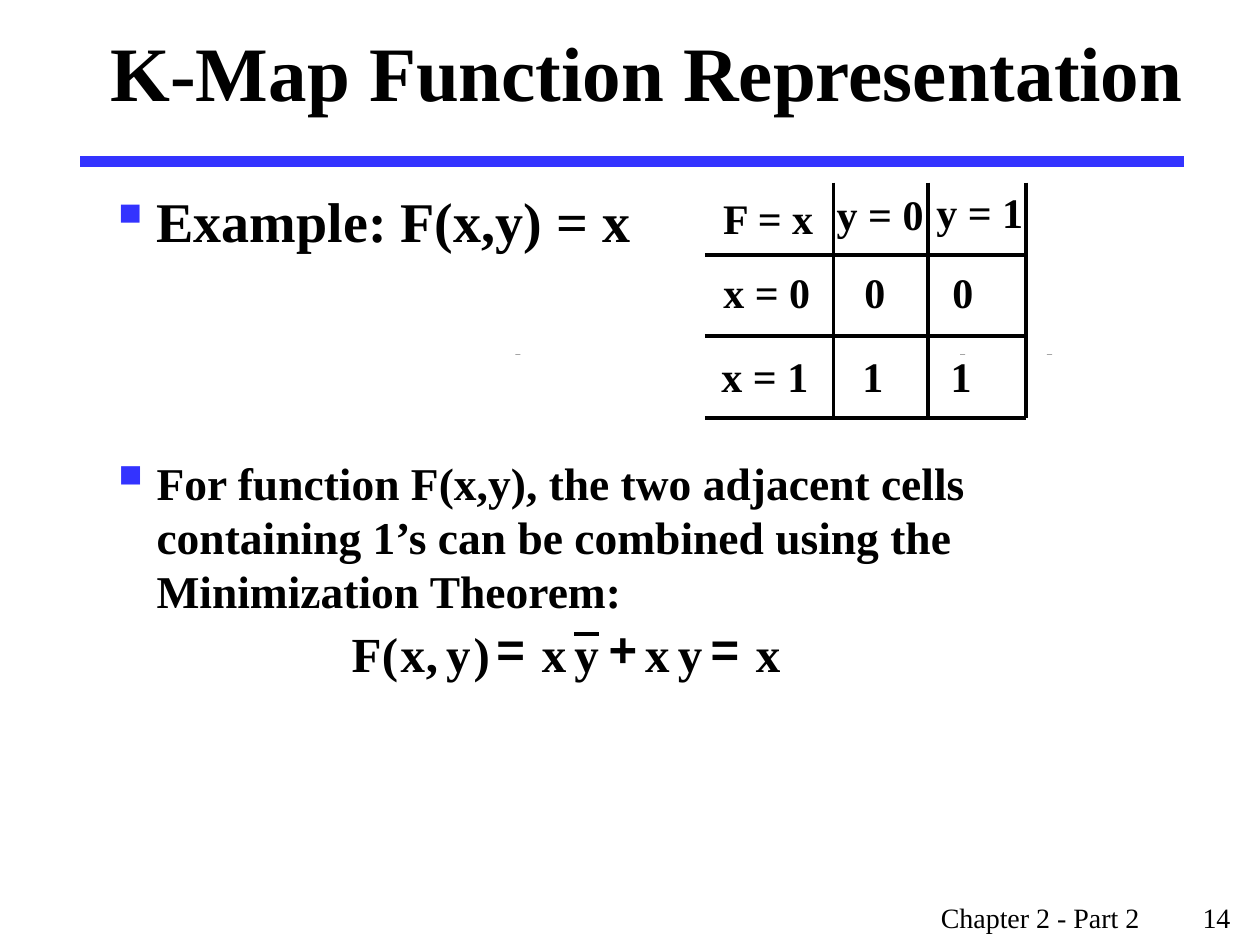
from lxml.etree import SubElement
from pptx import Presentation
from pptx.dml.color import RGBColor
from pptx.enum.shapes import MSO_CONNECTOR as Connector, MSO_SHAPE as Shape
from pptx.enum.text import MSO_ANCHOR as Anchor, MSO_AUTO_SIZE as AutoSize
from pptx.oxml.ns import qn
from pptx.util import Pt

COLORS = {"ink": "000000", "accent": "3333FF"}
SERIF, SANS = "Times New Roman", "Arial"


def color(name):
    """Return the named colour."""
    return RGBColor.from_string(COLORS[name])


def add_run(para, text, size, bold=True, font=SERIF):
    """Append one formatted run to a paragraph."""
    span = para.add_run()
    span.text = text
    span.font.name, span.font.size, span.font.bold = font, Pt(size), bold
    span.font.color.rgb = color("ink")


def add_box(shapes, left, top, width, height):
    """Add a wrapping text box and return its frame."""
    frame = shapes.add_textbox(Pt(left), Pt(top), Pt(width), Pt(height)).text_frame
    frame.word_wrap = True
    return frame


def add_label(shapes, text, left, top, width, size, font=SERIF):
    """Add a tight single-line label."""
    frame = add_box(shapes, left, top, width, size * 1.2)
    frame.margin_left = frame.margin_right = frame.margin_top = frame.margin_bottom = 0
    frame.word_wrap = False
    frame.auto_size = AutoSize.SHAPE_TO_FIT_TEXT
    add_run(frame.paragraphs[0], text, size, font=font)


def add_line(shapes, x1, y1, x2, y2, name="ink", width=2.25):
    """Add a straight line without a shadow."""
    line = shapes.add_connector(Connector.STRAIGHT, Pt(x1), Pt(y1), Pt(x2), Pt(y2))
    line.line.color.rgb, line.line.width = color(name), Pt(width)
    SubElement(line._element.spPr, qn("a:effectLst"))


def add_bullet(para, scale):
    """Give a paragraph a hanging square bullet."""
    props = para._p.get_or_add_pPr()
    props.set("marL", str(Pt(27)))
    props.set("indent", str(Pt(-27)))
    tint = SubElement(props, qn("a:buClr"))
    SubElement(tint, qn("a:srgbClr"), val=COLORS["accent"])
    SubElement(props, qn("a:buSzPct"), val=str(scale * 1000))
    SubElement(props, qn("a:buChar"), char="▪")


def add_header(page, left, top, width, height):
    """Place the title and the rule beneath it."""
    frame = add_box(page.shapes, left, top, width, height)
    frame.vertical_anchor = Anchor.MIDDLE
    add_run(frame.paragraphs[0], "K-Map Function Representation", 44)
    add_line(page.shapes, left - 10, top + 92.2, left + 620.8, top + 92.2, "accent", 6)


def add_body(page, left, top, width, height):
    """Place the two bulleted statements."""
    frame = add_box(page.shapes, left, top, width, height)
    first = frame.paragraphs[0]
    add_bullet(first, 100)
    add_run(first, "Example: F(x,y) = x", 32)
    second = frame.add_paragraph()
    add_bullet(second, 125)
    second.space_before, second.line_spacing = Pt(115), Pt(31)
    add_run(second, "For function F(x,y), the two adjacent cells containing 1’s "
            "can be combined using the Minimization Theorem:", 26)


def add_dashes(page, left, top):
    """Place the three faint dashes."""
    for offset in (0, 254.2, 303.8):
        dash = page.shapes.add_shape(Shape.RECTANGLE, Pt(left + offset), Pt(top), Pt(2.9), Pt(0.25))
        dash.shadow.inherit = False
        dash.fill.solid()
        dash.fill.fore_color.rgb = color("ink")
        dash.line.fill.background()


def add_map(page, left, top, width, height):
    """Place the Karnaugh map with its grid and labels."""
    shapes = page.shapes.add_group_shape().shapes
    for x in (73.5, 127.7, width):
        add_line(shapes, left + x, top, left + x, top + height)
    for y in (41.4, 87.5, height):
        add_line(shapes, left, top + y, left + width, top + y)
    headings = [("F = x", 10.5, 5.8, 52.6), ("y = 0", 75.3, 3.6, 49.7), ("y = 1", 132.2, 2.2, 49.7)]
    for text, x, y, size in headings:
        add_label(shapes, text, left + x, top + y, size, 24)
    for value, x, y in (("0", 10.5, 48.2), ("1", 9.4, 95.8)):
        add_label(shapes, f"x = {value}", left + x, top + y, 49.7, 24)
        for offset in (80.6, 131):
            add_label(shapes, value, left + x + offset, top + y, 12, 24)


def add_formula(page, left, top):
    """Place the minimised equation symbol by symbol."""
    shapes = page.shapes.add_group_shape().shapes
    symbols = "F(x,y)=xy+xy=x"
    offsets = (0, 17.3, 28.1, 42.5, 54, 69.8, 82.8, 108.7, 127.4, 146.9, 167.8, 186.5, 205.2, 231.1)
    widths = {"F": 17.1, "(": 9.3, ")": 9.3, ",": 7, "=": 22, "+": 16.4}
    for symbol, offset in zip(symbols, offsets):
        operator = symbol in "=+"
        add_label(shapes, symbol, left + offset, top - (2.9 if operator else 0),
                  widths.get(symbol, 14), 28, SANS if operator else SERIF)
    add_line(shapes, left + 127.4, top + 5.8, left + 141.1, top + 5.8)


def add_footer(page, left, top, width, height):
    """Place the chapter name and page number."""
    para = add_box(page.shapes, left, top, width, height).paragraphs[0]
    stops = SubElement(para._p.get_or_add_pPr(), qn("a:tabLst"))
    SubElement(stops, qn("a:tab"), pos=str(Pt(149.5)), algn="l")
    add_run(para, "Chapter 2 - Part 2\t14", 16, bold=False)


def main():
    """Build and save the slide."""
    deck = Presentation()
    deck.slide_width, deck.slide_height = Pt(720), Pt(540)
    page = deck.slides.add_slide(deck.slide_layouts[6])
    add_header(page, 56, 0, 646.6, 80.6)
    add_body(page, 55.4, 103, 612, 394.6)
    add_dashes(page, 294.5, 202.3)
    add_map(page, 402.8, 104.4, 183.3, 134.6)
    add_formula(page, 200.9, 356.4)
    add_footer(page, 530.6, 511.2, 187.2, 26.6)
    deck.save("out.pptx")


if __name__ == "__main__":
    main()
